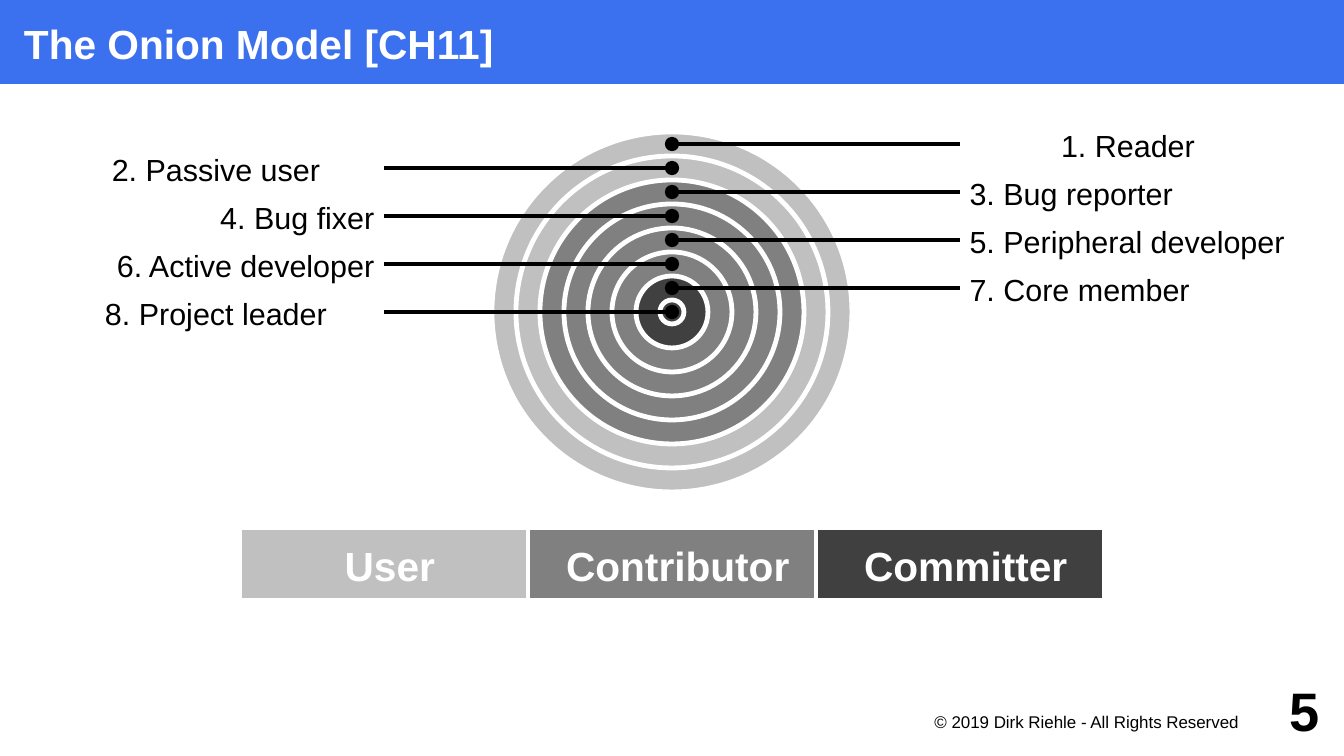
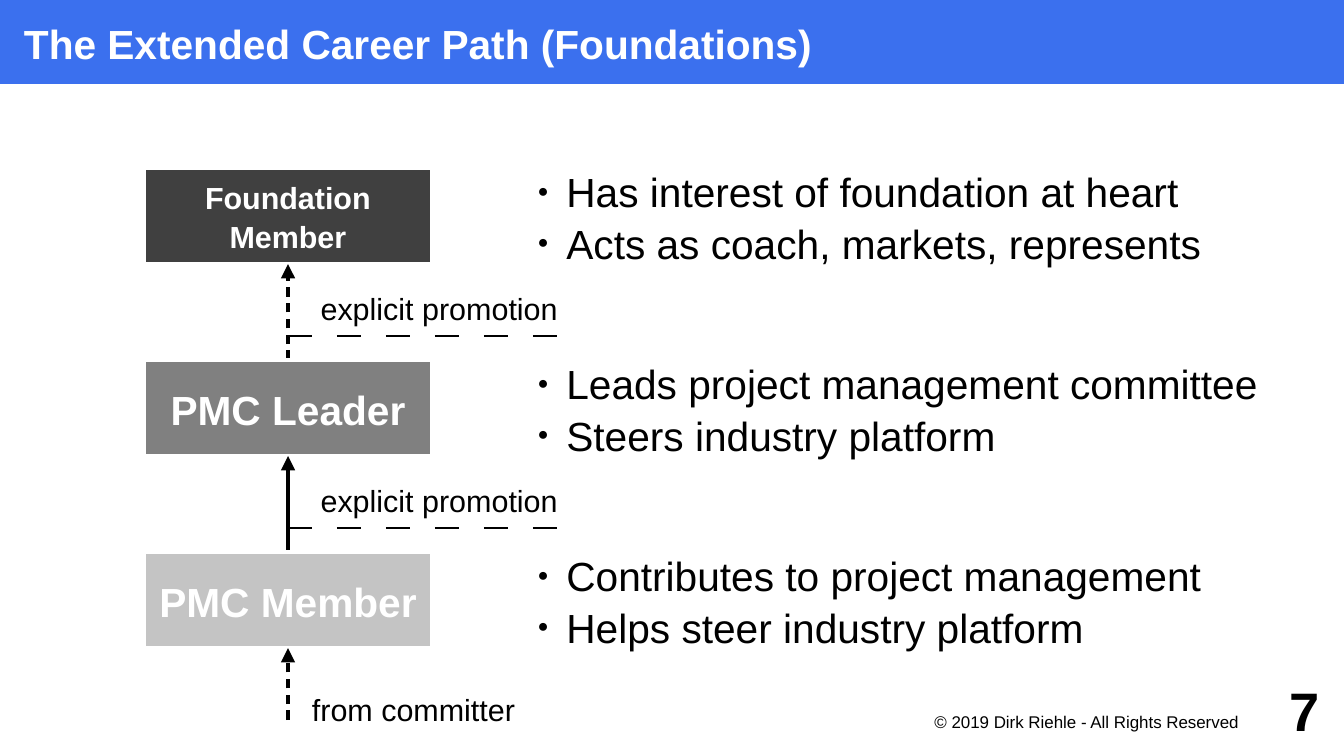
from lxml.etree import SubElement
from pptx import Presentation
from pptx.dml.color import RGBColor
from pptx.enum.shapes import MSO_CONNECTOR, MSO_SHAPE
from pptx.enum.text import MSO_ANCHOR, PP_ALIGN
from pptx.oxml.ns import qn
from pptx.util import Cm, Pt

# Shared look (lengths in cm, sizes and line widths in points)
FONT = "Arial"
BLUE = RGBColor(0x3B, 0x70, 0xEE)
WHITE = RGBColor(0xFF, 0xFF, 0xFF)
BLACK = RGBColor(0x00, 0x00, 0x00)
LIGHT = RGBColor(0xC0, 0xC0, 0xC0)
PALE = RGBColor(0xC4, 0xC4, 0xC4)
MEDIUM = RGBColor(0x80, 0x80, 0x80)
DARK = RGBColor(0x40, 0x40, 0x40)
LEFT, CENTER, RIGHT = PP_ALIGN.LEFT, PP_ALIGN.CENTER, PP_ALIGN.RIGHT
SLIDE_WIDTH, SLIDE_HEIGHT = 28, 15.75
PADDING = (0.2, 0.2, 0.2, 0.2)
THICK, THIN = 2.83, 1.45
SHORT_DASH = (200, 130)  # dash and gap, percent of line width
LONG_DASH = (1000, 1000)
FOOTER = "© 2019 Dirk Riehle - All Rights Reserved"

# Onion slide: role, side and alignment of its label, ring colour; outside in
ONION_TITLE, ONION_NUMBER = "The Onion Model [CH11]", 5
ROLES = [
    ("1. Reader", RIGHT, CENTER, LIGHT),
    ("2. Passive user", LEFT, CENTER, LIGHT),
    ("3. Bug reporter", RIGHT, LEFT, MEDIUM),
    ("4. Bug fixer", LEFT, RIGHT, MEDIUM),
    ("5. Peripheral developer", RIGHT, LEFT, MEDIUM),
    ("6. Active developer", LEFT, RIGHT, MEDIUM),
    ("7. Core member", RIGHT, LEFT, DARK),
    ("8. Project leader", LEFT, CENTER, DARK),
]
LEGEND = [("User", LIGHT), ("Contributor", MEDIUM), ("Committer", DARK)]

# Career slide: lines in the box, size, colour, duties, step below it
# (step: dash of the arrow, arrow length)
CAREER_TITLE, CAREER_NUMBER = "The Extended Career Path (Foundations)", 7
STAGES = [
    (["Foundation", "Member"], 18, DARK,
     ["Has interest of foundation at heart", "Acts as coach, markets, represents"],
     (SHORT_DASH, 2)),
    (["PMC Leader"], 24, MEDIUM,
     ["Leads project management committee", "Steers industry platform"],
     (None, 2)),
    (["PMC Member"], 24, PALE,
     ["Contributes to project management", "Helps steer industry platform"],
     (SHORT_DASH, 1.5)),
]
PROMOTION, ENTRY = "explicit promotion", "from committer"


def add_bullet(paragraph):
    properties = paragraph._p.get_or_add_pPr()
    properties.set("marL", str(Cm(0.6)))
    properties.set("indent", str(-Cm(0.6)))
    SubElement(properties, qn("a:buSzPct")).set("val", "45000")
    SubElement(properties, qn("a:buFont")).set("typeface", FONT)
    SubElement(properties, qn("a:buChar")).set("char", "●")


def write(shape, lines, size, color=BLACK, bold=False, align=LEFT,
          anchor=MSO_ANCHOR.MIDDLE, padding=PADDING, wrap=True, bullets=False):
    frame = shape.text_frame
    frame.word_wrap = wrap
    frame.vertical_anchor = anchor
    (frame.margin_left, frame.margin_top,
     frame.margin_right, frame.margin_bottom) = map(Cm, padding)
    for i, line in enumerate(lines):
        paragraph = frame.add_paragraph() if i else frame.paragraphs[0]
        paragraph.alignment = align
        paragraph.line_spacing = 1.05
        if bullets:
            add_bullet(paragraph)
        run = paragraph.add_run()
        run.text = line
        run.font.name, run.font.size, run.font.bold = FONT, Pt(size), bold
        run.font.color.rgb = color


def add_label(slide, box, lines, size, **style):
    write(slide.shapes.add_textbox(*map(Cm, box)), lines, size, **style)


def add_figure(slide, kind, box, fill, outline=WHITE):
    figure = slide.shapes.add_shape(kind, *map(Cm, box))
    figure.shadow.inherit = False
    figure.fill.solid()
    figure.fill.fore_color.rgb = fill
    if outline is None:
        figure.line.fill.background()
    else:
        figure.line.color.rgb = outline
        figure.line.width = Pt(THICK)
    return figure


def add_line(slide, start, end, width=THICK, dash=None, head=None, tail=None):
    line = slide.shapes.add_connector(
        MSO_CONNECTOR.STRAIGHT, *map(Cm, (*start, *end)))
    line.line.color.rgb = BLACK
    line.line.width = Pt(width)
    outline = line.line._get_or_add_ln()
    if dash:
        stop = SubElement(SubElement(outline, qn("a:custDash")), qn("a:ds"))
        for key, percent in zip(("d", "sp"), dash):
            stop.set(key, str(percent * 1000))
    for tag, ending in (("a:headEnd", head), ("a:tailEnd", tail)):
        if ending:
            SubElement(outline, qn(tag)).set("type", ending)
    SubElement(line._element.spPr, qn("a:effectLst"))


def add_slide(deck, title, number):
    slide = deck.slides.add_slide(deck.slide_layouts[6])
    band = add_figure(slide, MSO_SHAPE.RECTANGLE, (0, 0, SLIDE_WIDTH, 1.75), BLUE, None)
    write(band, [title], 24, WHITE, bold=True, padding=(0.5, 0, 0, 0))
    add_label(slide, (18, 14.75, 8, 0.75), [FOOTER], 10, align=RIGHT,
              anchor=MSO_ANCHOR.TOP, padding=(0, 0.05, 0.2, 0))
    add_label(slide, (25.5, 14, 2, 1.5), [str(number)], 32, bold=True,
              align=RIGHT, padding=(0, 0, 0, 0))
    return slide


def build_onion(deck):
    slide = add_slide(deck, ONION_TITLE, ONION_NUMBER)
    center_x, center_y, ring = SLIDE_WIDTH / 2, 6.5, 0.5

    # Rings, outside in
    for i, (_, _, _, color) in enumerate(ROLES):
        radius = (len(ROLES) - 0.5 - i) * ring
        add_figure(slide, MSO_SHAPE.OVAL,
                   (center_x - radius, center_y - radius, 2 * radius, 2 * radius), color)

    # Pointers and role labels
    for i, (role, side, align, _) in enumerate(ROLES):
        y = center_y - (len(ROLES) - 1 - i) * ring
        line_end, label_x = (20, 20) if side == RIGHT else (8, 1)
        add_line(slide, (center_x, y), (line_end, y), head="oval")
        add_label(slide, (label_x, y - 1, 7, 2), [role], 18, align=align)

    # Legend
    for i, (group, color) in enumerate(LEGEND):
        box = add_figure(slide, MSO_SHAPE.RECTANGLE, (5 + 6 * i, 11, 6, 1.5), color)
        write(box, [group], 24, WHITE, bold=True, align=CENTER,
              padding=(0.44, 0.2, 0.2, 0.2), wrap=False)


def build_career(deck):
    slide = add_slide(deck, CAREER_TITLE, CAREER_NUMBER)
    box_x, box_width, box_height, first_y, pitch = 3, 6, 2, 3.5, 4
    axis = box_x + box_width / 2
    step_padding = (0.5, 0.2, 0.2, 0.2)

    for i, (name, size, color, duties, (dash, length)) in enumerate(STAGES):
        top = first_y + i * pitch
        bottom = top + box_height

        # Stage and its duties
        box = add_figure(slide, MSO_SHAPE.RECTANGLE,
                         (box_x, top, box_width, box_height), color)
        write(box, name, size, WHITE, bold=True, align=CENTER, padding=(0.25,) * 4)
        add_label(slide, (11, top - 0.5, 16, 3), duties, 24, bullets=True)

        # Step up from below
        add_line(slide, (axis, bottom + length), (axis, bottom), dash=dash, tail="triangle")
        if i < len(STAGES) - 1:
            add_line(slide, (axis, bottom + 1.5), (axis + 6, bottom + 1.5), THIN, LONG_DASH)
            add_label(slide, (axis, bottom, 6, 1.5), [PROMOTION], 18, align=CENTER,
                      anchor=MSO_ANCHOR.BOTTOM, padding=step_padding)
        else:
            add_label(slide, (axis, bottom + 0.5, 6, 1.5), [ENTRY], 18,
                      padding=step_padding)


def main():
    deck = Presentation()
    deck.slide_width, deck.slide_height = Cm(SLIDE_WIDTH), Cm(SLIDE_HEIGHT)
    build_onion(deck)
    build_career(deck)
    deck.save("out.pptx")


if __name__ == "__main__":
    main()
